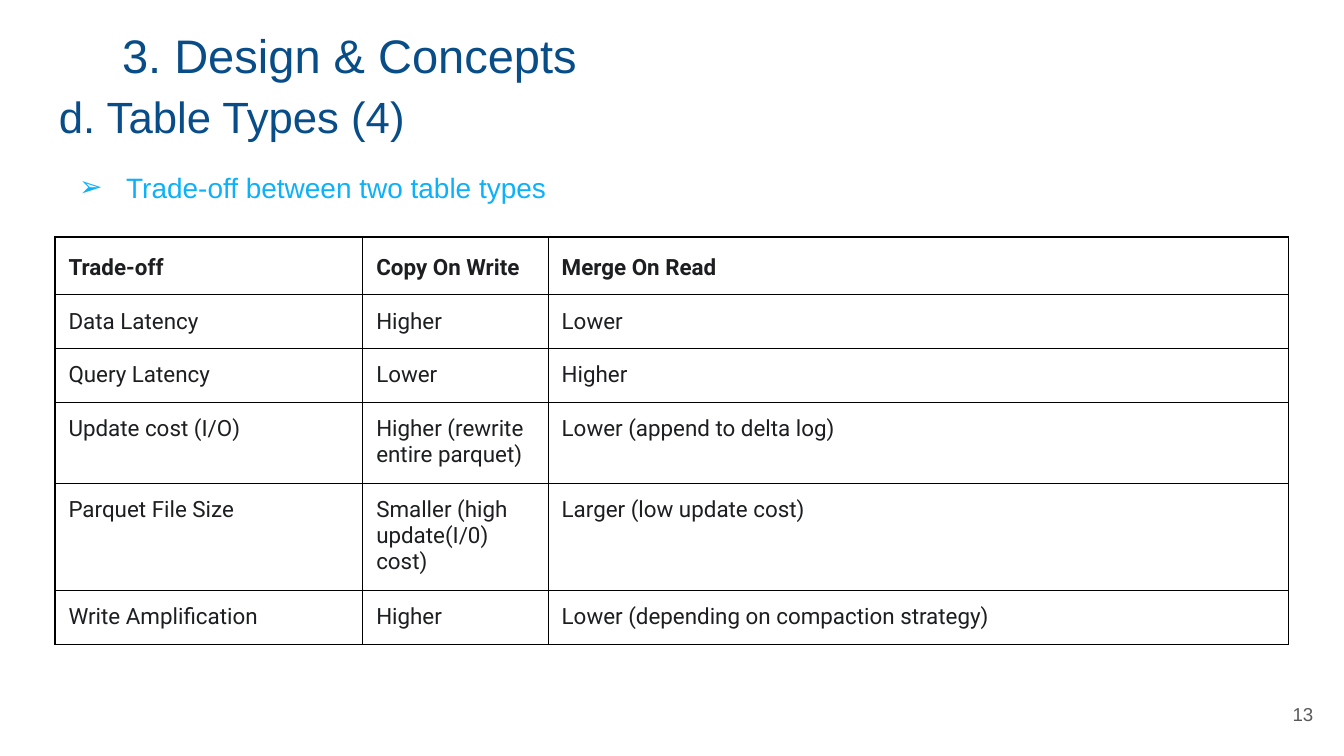
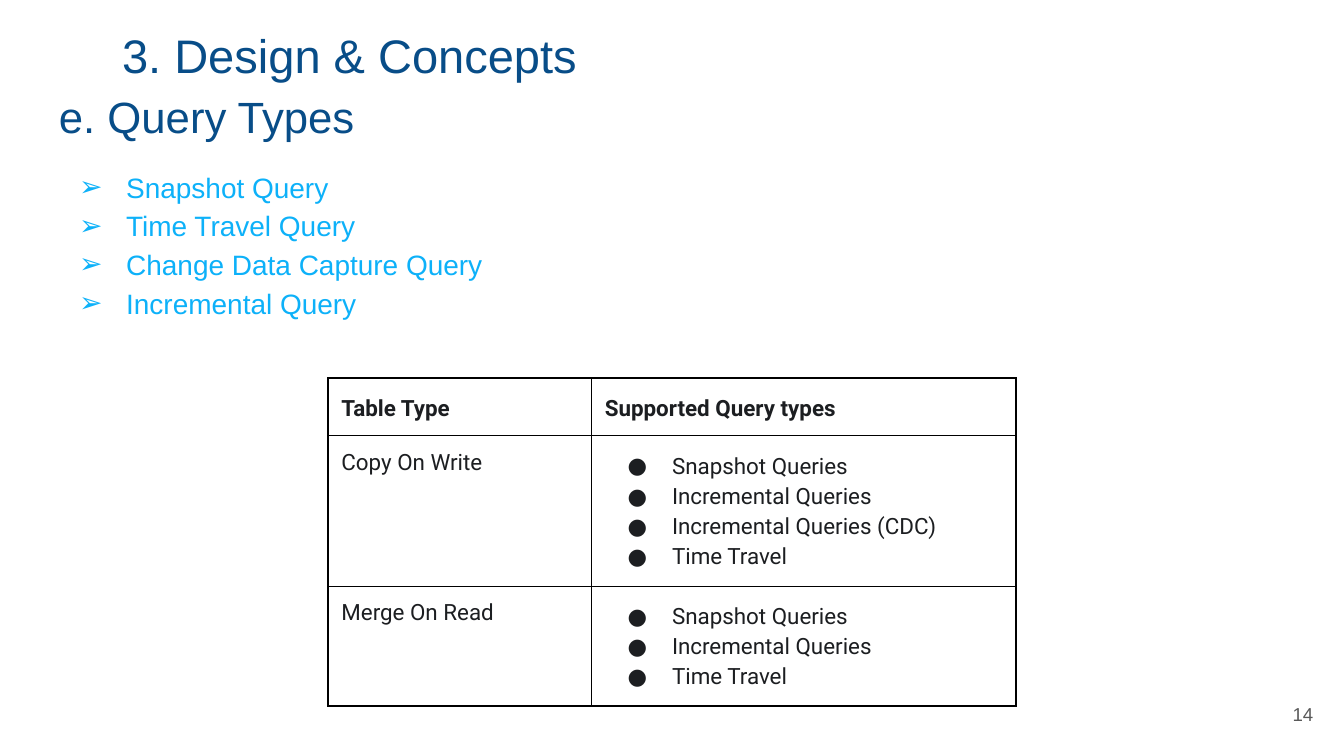
from lxml.etree import SubElement
from pptx import Presentation
from pptx.dml.color import RGBColor
from pptx.enum.text import MSO_ANCHOR, PP_ALIGN
from pptx.oxml.ns import qn
from pptx.util import Inches, Pt

NAVY = RGBColor(0x08, 0x4D, 0x88)
SKY = RGBColor(0x0D, 0xB1, 0xF9)
INK = RGBColor(0x1C, 0x1E, 0x21)
GRAY = RGBColor(0x59, 0x59, 0x59)
BLACK = RGBColor(0, 0, 0)

PAGE_WIDTH = Inches(10)
PAGE_HEIGHT = Inches(5.625)
COLUMN = PAGE_WIDTH / 100
ROW = PAGE_HEIGHT / 100
INSET = Inches(0.1)

TRADE_OFFS = [
    ["Trade-off", "Copy On Write", "Merge On Read"],
    ["Data Latency", "Higher", "Lower"],
    ["Query Latency", "Lower", "Higher"],
    ["Update cost (I/O)", "Higher (rewrite entire parquet)", "Lower (append to delta log)"],
    ["Parquet File Size", "Smaller (high update(I/0) cost)", "Larger (low update cost)"],
    ["Write Amplification", "Higher", "Lower (depending on compaction strategy)"],
]
QUERY_SUPPORT = [
    ["Table Type", "Supported Query types"],
    ["Copy On Write",
     "Snapshot Queries\nIncremental Queries\nIncremental Queries (CDC)\nTime Travel"],
    ["Merge On Read", "Snapshot Queries\nIncremental Queries\nTime Travel"],
]
TOPICS = [
    ("13", "d. Table Types (4)", "Trade-off between two table types", TRADE_OFFS,
     (4.1, 31.35), [22.9, 13.8, 55.1], [7.54, 7.02, 7.02, 10.45, 14.02, 7.02]),
    ("14", "e. Query Types",
     "Snapshot Query\nTime Travel Query\nChange Data Capture Query\nIncremental Query",
     QUERY_SUPPORT, (24.4, 50), [19.6, 31.6], [7.54, 19.44, 15.48]),
]


def write(frame, text, size, color, font="Arial", bold=False, spacing=1.0,
          bullet=None, hanging=0.35):
    frame.text = text
    frame.word_wrap = True
    for paragraph in frame.paragraphs:
        paragraph.line_spacing = spacing
        if bullet:
            properties = paragraph._p.get_or_add_pPr()
            properties.set("marL", str(Inches(0.5)))
            properties.set("indent", str(-Inches(hanging)))
            bullet_color = SubElement(properties, qn("a:buClr"))
            SubElement(bullet_color, qn("a:srgbClr"), val=str(color))
            SubElement(properties, qn("a:buFont"), typeface=font)
            SubElement(properties, qn("a:buChar"), char=bullet)
        for run in paragraph.runs:
            run.font.size = Pt(size)
            run.font.name = font
            run.font.bold = bold
            run.font.color.rgb = color


def add_text(slide, left, top, width, height, text, size, color, **style):
    box = slide.shapes.add_textbox(int(left * COLUMN), int(top * ROW),
                                   int(width * COLUMN), int(height * ROW))
    frame = box.text_frame
    frame.margin_left = frame.margin_right = INSET
    frame.margin_top = frame.margin_bottom = INSET
    write(frame, text, size, color, **style)
    return frame


deck = Presentation()
deck.slide_width = PAGE_WIDTH
deck.slide_height = PAGE_HEIGHT

for number, topic, points, rows, (left, top), widths, heights in TOPICS:
    slide = deck.slides.add_slide(deck.slide_layouts[6])
    add_text(slide, 3.4, 10.13, 93.2, 11.2, topic, 23.4, NAVY)
    add_text(slide, 3.4, 20.09, 93.2, 76.27, points, 15, SKY, spacing=1.15, bullet="➢")
    add_text(slide, 8.1, 1.78, 80.9, 11.2, "3. Design & Concepts", 25.2, NAVY)
    page_number = add_text(slide, 92.7, 90.67, 6, 7.64, number, 10, GRAY)
    page_number.vertical_anchor = MSO_ANCHOR.MIDDLE
    page_number.paragraphs[0].alignment = PP_ALIGN.RIGHT

    comparison = slide.shapes.add_table(
        len(rows), len(widths), int(left * COLUMN), int(top * ROW),
        int(sum(widths) * COLUMN), int(sum(heights) * ROW)).table
    comparison.first_row = False
    comparison.horz_banding = False
    for column, width in zip(comparison.columns, widths):
        column.width = int(width * COLUMN)
    for row, height in zip(comparison.rows, heights):
        row.height = int(height * ROW)

    for row_index, values in enumerate(rows):
        for column_index, value in enumerate(values):
            cell = comparison.cell(row_index, column_index)
            cell.margin_left = cell.margin_right = INSET
            cell.margin_top = cell.margin_bottom = INSET
            header = row_index == 0
            listed = "\n" in value
            write(cell.text_frame, value, 12, INK, font="Roboto", bold=header,
                  spacing=1.15 if header or listed else 1.0,
                  bullet="●" if listed else None, hanging=0.33)
            cell_properties = cell._tc.get_or_add_tcPr()
            for side in ("lnL", "lnR", "lnT", "lnB"):
                border = SubElement(cell_properties, qn(f"a:{side}"), w=str(Pt(0.75)))
                border_fill = SubElement(border, qn("a:solidFill"))
                SubElement(border_fill, qn("a:srgbClr"), val=str(BLACK))
            cell.fill.background()

deck.save("out.pptx")
